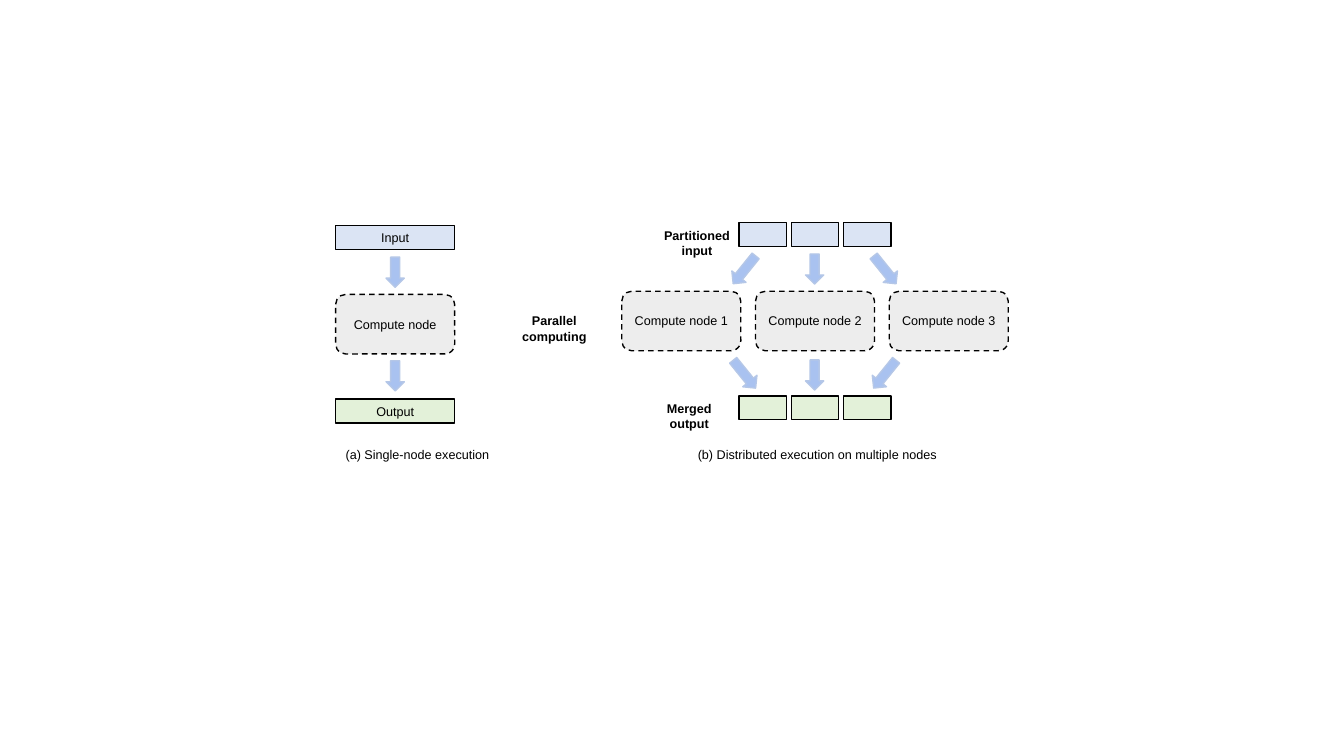
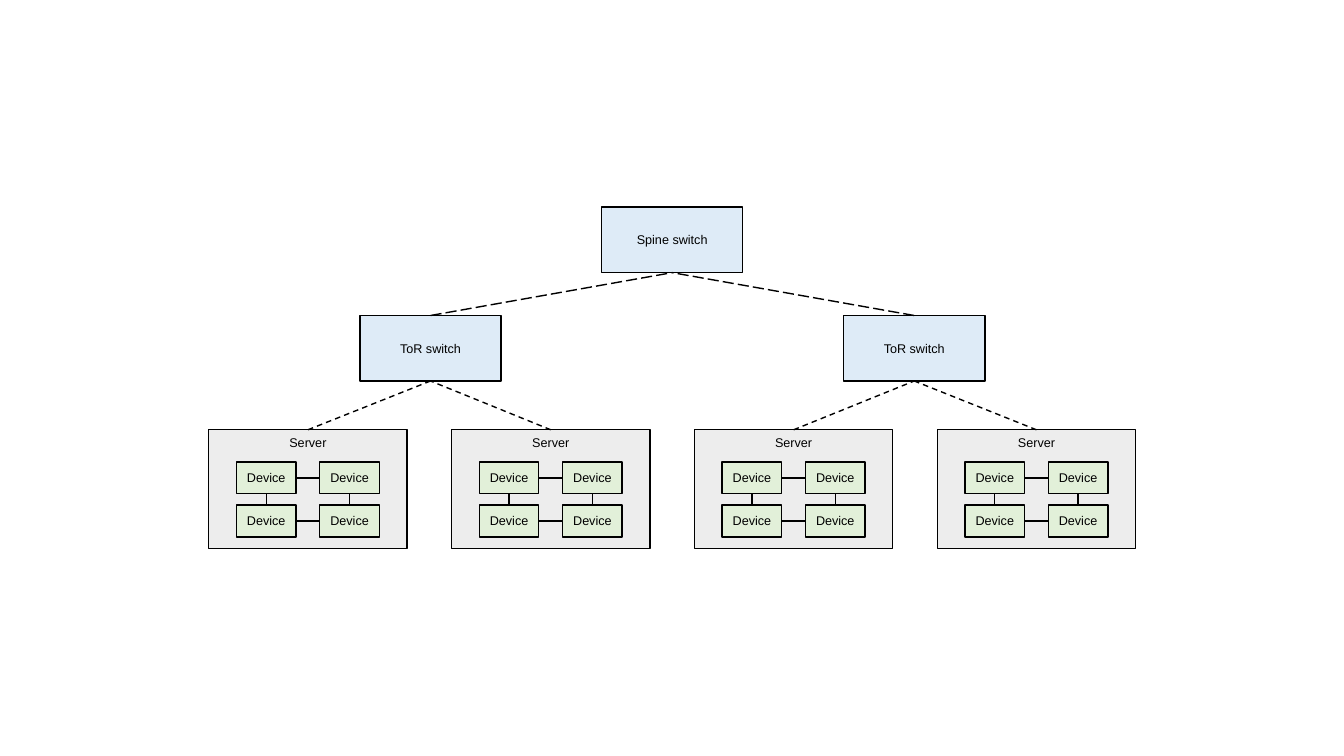
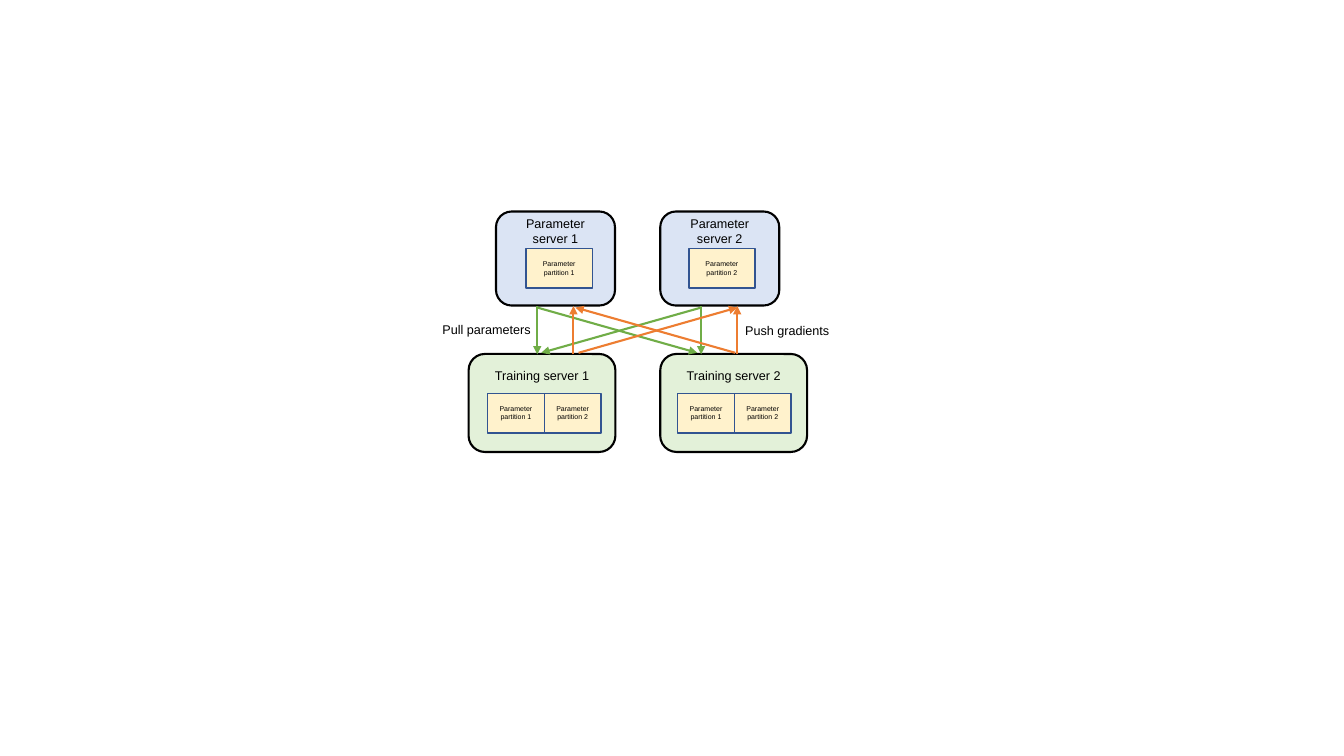
from lxml import etree
from pptx import Presentation
from pptx.dml.color import RGBColor
from pptx.enum.dml import MSO_LINE
from pptx.enum.shapes import MSO_CONNECTOR, MSO_SHAPE
from pptx.enum.text import MSO_ANCHOR, PP_ALIGN
from pptx.oxml.ns import qn
from pptx.util import Cm, Pt

RECTANGLE = MSO_SHAPE.RECTANGLE
ROUNDED = MSO_SHAPE.ROUNDED_RECTANGLE
DOWN_ARROW = MSO_SHAPE.DOWN_ARROW
STRAIGHT = MSO_CONNECTOR.STRAIGHT
DASH = MSO_LINE.DASH
LONG_DASH = MSO_LINE.LONG_DASH
CENTER = PP_ALIGN.CENTER
LEFT = PP_ALIGN.LEFT
MIDDLE = MSO_ANCHOR.MIDDLE
TOP = MSO_ANCHOR.TOP

BLACK = RGBColor(0x00, 0x00, 0x00)
GRAY = RGBColor(0xED, 0xED, 0xED)
BLUE = RGBColor(0xDB, 0xE4, 0xF4)
SWITCH_BLUE = RGBColor(0xDE, 0xEB, 0xF7)
GREEN = RGBColor(0xE3, 0xF1, 0xD9)
DEVICE_GREEN = RGBColor(0xE2, 0xF0, 0xD9)
ARROW_FILL = RGBColor(0xA9, 0xC2, 0xF0)
ARROW_LINE = RGBColor(0xB5, 0xC7, 0xE7)
CREAM = RGBColor(0xFF, 0xF2, 0xCC)
NAVY = RGBColor(0x32, 0x54, 0x91)
PULL_GREEN = RGBColor(0x70, 0xAD, 0x47)
PUSH_ORANGE = RGBColor(0xED, 0x7D, 0x31)

FONT = "Arial"
BLANK_LAYOUT = 6
BOTTOM_SIDE, RIGHT_SIDE, TOP_SIDE, LEFT_SIDE = 2, 3, 0, 1


def write_text(frame, text, size=9, bold=False, align=CENTER):
    frame.word_wrap = True
    paragraph = frame.paragraphs[0]
    paragraph.text = text
    paragraph.alignment = align
    font = paragraph.font
    font.name = FONT
    font.size = Pt(size)
    font.bold = bold
    font.color.rgb = BLACK


def add_box(slide, kind, left, top, width, height, fill, text="", size=9,
            line=BLACK, weight=1, dash=None, anchor=MIDDLE, side=0.1, bottom=0.13):
    shape = slide.shapes.add_shape(kind, Cm(left), Cm(top), Cm(width), Cm(height))
    shape.shadow.inherit = False
    shape.fill.solid()
    shape.fill.fore_color.rgb = fill
    shape.line.color.rgb = line
    shape.line.width = Pt(weight)
    if dash:
        shape.line.dash_style = dash
    if text:
        frame = shape.text_frame
        frame.vertical_anchor = anchor
        frame.margin_left = frame.margin_right = Cm(side)
        frame.margin_bottom = Cm(bottom)
        write_text(frame, text, size)
    return shape


def add_label(slide, left, top, width, height, text, bold=False, align=CENTER):
    box = slide.shapes.add_textbox(Cm(left), Cm(top), Cm(width), Cm(height))
    write_text(box.text_frame, text, bold=bold, align=align)


def add_line(slide, start=(0, 0), end=(0, 0), color=BLACK, weight=1, dash=None, arrow=False):
    points = [Cm(value) for value in (*start, *end)]
    connector = slide.shapes.add_connector(STRAIGHT, *points)
    connector.line.color.rgb = color
    connector.line.width = Pt(weight)
    if dash:
        connector.line.dash_style = dash
    properties = connector.element.spPr
    if arrow:
        etree.SubElement(properties.find(qn("a:ln")), qn("a:tailEnd"), type="triangle")
    etree.SubElement(properties, qn("a:effectLst"))
    return connector


def join(slide, first, first_side, second, second_side, dash=None):
    connector = add_line(slide, dash=dash)
    connector.begin_connect(first, first_side)
    connector.end_connect(second, second_side)


def add_flow_arrow(slide, center, top, height=0.76, rotation=0):
    width = 0.46
    arrow = add_box(slide, DOWN_ARROW, center - width / 2, top, width, height,
                    ARROW_FILL, line=ARROW_LINE)
    arrow.rotation = rotation


def add_compute_node(slide, left, top, text):
    add_box(slide, ROUNDED, left, top, 3, 1.5, GRAY, text, dash=DASH)


def build_execution_slide(slide):
    left = 8.46
    add_compute_node(slide, left, 7.42, "Compute node")
    add_box(slide, RECTANGLE, left, 5.69, 3, 0.6, BLUE, "Input")
    add_box(slide, RECTANGLE, left, 10.06, 3, 0.6, GREEN, "Output")
    for top in (6.48, 9.09):
        add_flow_arrow(slide, left + 1.5, top)
    add_label(slide, left, 11.13, 4.47, 0.64, "(a) Single-node execution", align=LEFT)

    for index in range(3):
        add_compute_node(slide, 15.67 + 3.37 * index, 7.34, f"Compute node {index + 1}")
        for top, fill in ((5.61, BLUE), (9.98, GREEN)):
            add_box(slide, RECTANGLE, 18.62 + 1.32 * index, top, 1.2, 0.6, fill)

    center, spread, tilt = 20.53, 1.77, 38.9
    for straight_top, tilted_top, direction in ((6.4, 6.35, 1), (9.07, 8.98, -1)):
        add_flow_arrow(slide, center, straight_top)
        for side in (-1, 1):
            add_flow_arrow(slide, center + side * spread, tilted_top, 0.9,
                           -side * direction * tilt)

    add_label(slide, 16.46, 5.61, 2.21, 1.02, "Partitioned input", bold=True)
    add_label(slide, 12.75, 7.77, 2.44, 1.02, "Parallel computing", bold=True)
    add_label(slide, 16.38, 9.98, 1.98, 1.02, "Merged output", bold=True)
    add_label(slide, 17.04, 11.13, 7.11, 0.64, "(b) Distributed execution on multiple nodes")


def add_switch(slide, left, top, text):
    return add_box(slide, RECTANGLE, left, top, 3.56, 1.65, SWITCH_BLUE, text)


def add_device_server(slide, left, top):
    server = add_box(slide, RECTANGLE, left, top, 5, 3, GRAY, "Server", anchor=TOP)
    devices = [[add_box(slide, RECTANGLE, left + 0.7 + 2.1 * column, top + 0.81 + 1.09 * row,
                        1.5, 0.8, DEVICE_GREEN, "Device")
                for column in range(2)] for row in range(2)]
    for first, second in devices:
        join(slide, first, RIGHT_SIDE, second, LEFT_SIDE)
    for upper, lower in zip(*devices):
        join(slide, upper, BOTTOM_SIDE, lower, TOP_SIDE)
    return server


def build_network_slide(slide):
    spine = add_switch(slide, 15.16, 5.22, "Spine switch")
    for pair in range(2):
        switch = add_switch(slide, 9.07 + 12.19 * pair, 7.95, "ToR switch")
        join(slide, switch, TOP_SIDE, spine, BOTTOM_SIDE, LONG_DASH)
        for index in (2 * pair, 2 * pair + 1):
            server = add_device_server(slide, 5.26 + 6.12 * index, 10.83)
            join(slide, server, TOP_SIDE, switch, BOTTOM_SIDE, DASH)


def add_role_server(slide, left, top, width, height, fill, text):
    add_box(slide, ROUNDED, left, top, width, height, fill, text,
            weight=1.5, side=0.25, bottom=1.5)


def add_partition(slide, left, top, width, number):
    add_box(slide, RECTANGLE, left, top, width, 1, CREAM, f"Parameter partition {number}",
            size=5, line=NAVY)


def build_parameter_server_slide(slide):
    columns = ((12.5, 11.81, 13.26, 12.29), (16.64, 16.64, 17.36, 17.08))
    for number, (parameter_left, training_left, single_left, pair_left) in enumerate(columns, 1):
        add_role_server(slide, parameter_left, 5.33, 3, 2.37, BLUE, f"Parameter server {number}")
        add_role_server(slide, training_left, 8.92, 3.7, 2.47, GREEN, f"Training server {number}")
        add_partition(slide, single_left, 6.26, 1.67, number)
        for index in range(2):
            add_partition(slide, pair_left + 1.43 * index, 9.91, 1.43, index + 1)

    pull_left, pull_right, push_left, push_right = 13.54, 17.67, 14.45, 18.58
    upper, lower, upper_slant, lower_slant = 7.71, 8.93, 7.75, 8.89
    pulls = (
        ((pull_left, upper), (pull_left, lower)),
        ((pull_right, upper), (pull_right, lower)),
        ((pull_left, upper_slant), (pull_right - 0.1, lower_slant)),
        ((pull_right, upper_slant), (pull_left + 0.1, lower_slant)),
    )
    pushes = (
        ((push_left, lower), (push_left, upper)),
        ((push_right, lower), (push_right, upper)),
        ((push_right - 0.05, lower_slant), (push_left + 0.05, upper_slant)),
        ((push_left + 0.13, lower_slant), (push_right, upper_slant)),
    )
    for color, routes in ((PULL_GREEN, pulls), (PUSH_ORANGE, pushes)):
        for start, end in routes:
            add_line(slide, start, end, color, 1.5, arrow=True)
    add_label(slide, 10.67, 7.98, 3.18, 0.64, "Pull parameters")
    add_label(slide, 18.42, 8.01, 2.84, 0.64, "Push gradients")


def main():
    presentation = Presentation()
    presentation.slide_width = Cm(33.87)
    presentation.slide_height = Cm(19.05)
    layout = presentation.slide_layouts[BLANK_LAYOUT]
    for build in (build_execution_slide, build_network_slide, build_parameter_server_slide):
        build(presentation.slides.add_slide(layout))
    presentation.save("out.pptx")


if __name__ == "__main__":
    main()
